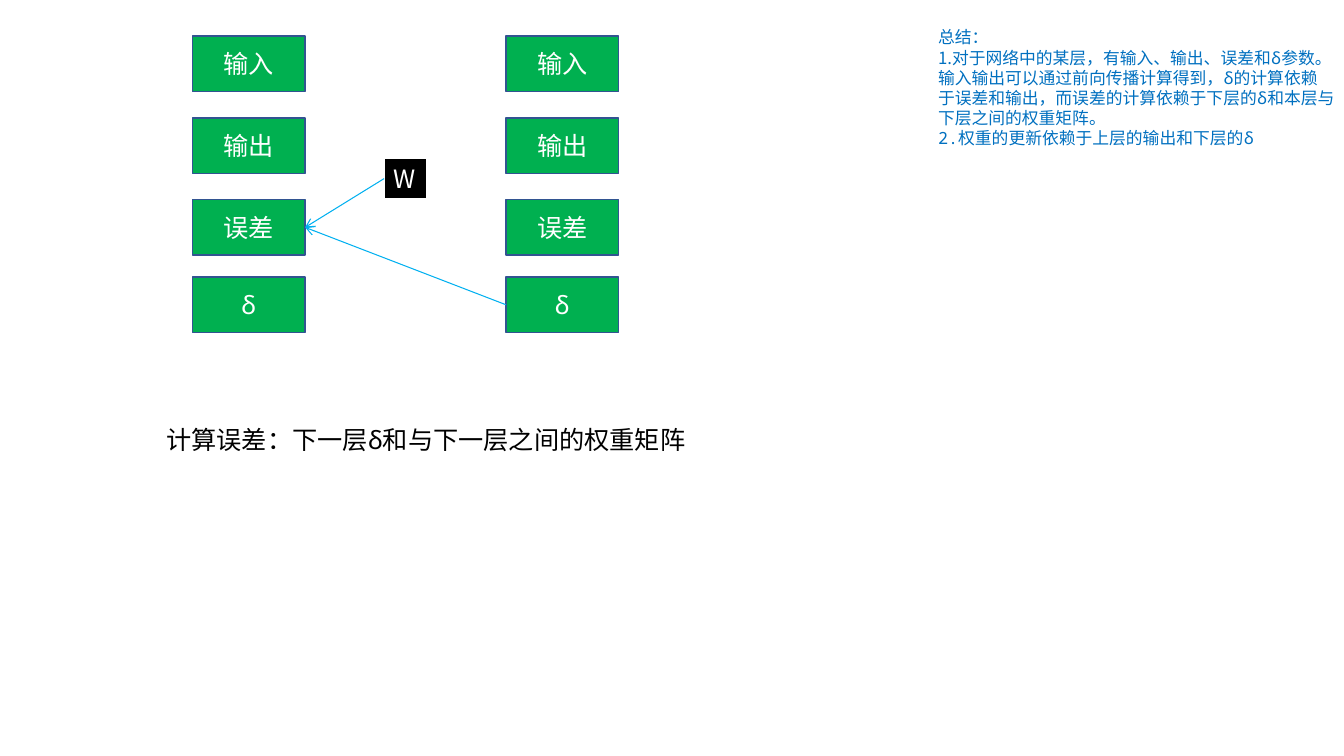
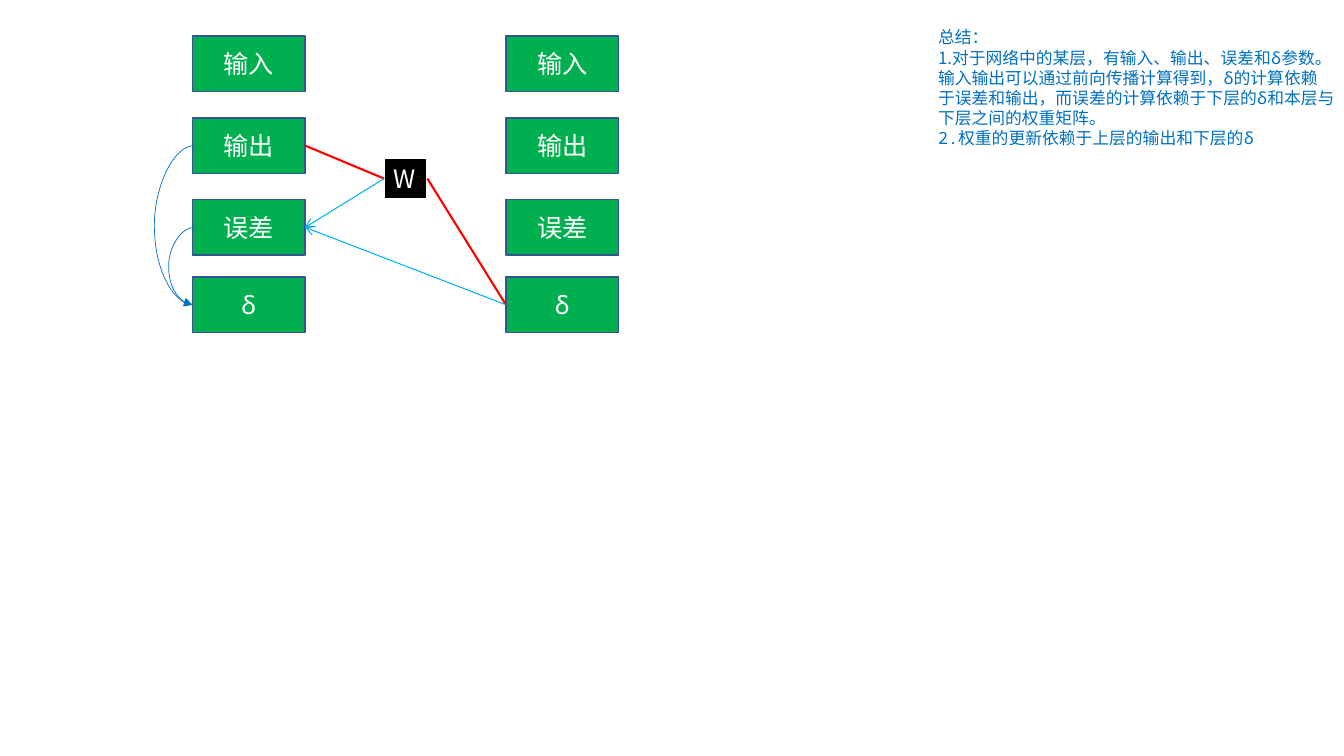
from dataclasses import dataclass
from typing import Optional

from lxml.etree import SubElement
from pptx import Presentation
from pptx.dml.color import RGBColor
from pptx.enum.shapes import MSO_CONNECTOR, MSO_SHAPE
from pptx.enum.text import MSO_ANCHOR, MSO_AUTO_SIZE, PP_ALIGN
from pptx.oxml.ns import qn
from pptx.shapes.autoshape import Shape
from pptx.shapes.connector import Connector
from pptx.slide import Slide
from pptx.text.text import TextFrame
from pptx.util import Cm, Pt

COLORS = {
    "node": "00B050",
    "node_border": "325491",
    "weight": "000000",
    "white": "FFFFFF",
    "caption": "000000",
    "summary": "0070C0",
    "error_flow": "00B0F0",
    "weight_update": "FF0000",
    "delta_flow": "0070C0",
}
SANS = "Noto Sans CJK SC"
MONO = "Noto Sans Mono"
BOTTOM, LEFT, RIGHT = 2, 1, 3

LAYER_LEFTS = (4.85, 12.75)
NODE_WIDTH, NODE_HEIGHT = 2.84, 1.4
CURVE_WIDTH = 0.04


@dataclass(frozen=True)
class TextRun:
    text: str
    font: str = SANS


@dataclass(frozen=True)
class Node:
    label: TextRun
    top: float


@dataclass(frozen=True)
class Box:
    left: float
    top: float
    width: float
    height: float


@dataclass(frozen=True)
class LineStyle:
    color: str
    width: float
    arrowhead: Optional[str] = None


NODES = {
    "input": Node(TextRun("输入"), 0.91),
    "output": Node(TextRun("输出"), 2.97),
    "error": Node(TextRun("误差"), 5.03),
    "delta": Node(TextRun("δ", MONO), 6.98),
}
WEIGHT_BOX = Box(9.68, 3.99, 1.09, 1.02)
SUMMARY_BOX = Box(23.39, 0.56, 10.49, 3.33)
CAPTION_BOX = Box(3.94, 10.57, 13.69, 1.02)

SUMMARY = (
    (TextRun("总结："),),
    (
        TextRun("1.对于网络中的某层，有输入、输出、误差和"),
        TextRun(
            "δ参数。输入输出可以通过前向传播计算得到，δ的计算依赖于误差和输出，"
            "而误差的计算依赖于下层的δ和本层与下层之间的权重矩阵。",
            MONO,
        ),
    ),
    (TextRun("2.权重的更新依赖于上层的输出和下层的δ", MONO),),
)
CAPTION = ((TextRun("计算误差：下一层"), TextRun("δ和与下一层之间的权重矩阵", MONO)),)

ERROR_FLOW = LineStyle("error_flow", 0.75, "arrow")
WEIGHT_UPDATE = LineStyle("weight_update", 1.5)
DELTA_FLOW = LineStyle("delta_flow", 0.5, "triangle")


def rgb(name: str) -> RGBColor:
    return RGBColor.from_string(COLORS[name])


def write_text(
    text_frame: TextFrame,
    paragraphs: tuple[tuple[TextRun, ...], ...],
    size: float,
    color: str,
    alignment: PP_ALIGN = PP_ALIGN.LEFT,
) -> None:
    text_frame.text = "\n".join(runs[0].text for runs in paragraphs)
    for paragraph, runs in zip(text_frame.paragraphs, paragraphs):
        paragraph.alignment = alignment
        for extra in runs[1:]:
            paragraph.add_run().text = extra.text
        for run, content in zip(paragraph.runs, runs):
            run.font.size = Pt(size)
            run.font.color.rgb = rgb(color)
            run.font.name = content.font
            SubElement(run.font._element, qn("a:ea"), typeface=SANS)


def add_text(
    slide: Slide,
    box: Box,
    paragraphs: tuple[tuple[TextRun, ...], ...],
    size: float,
    color: str,
) -> None:
    shape = slide.shapes.add_textbox(
        Cm(box.left), Cm(box.top), Cm(box.width), Cm(box.height)
    )
    shape.text_frame.word_wrap = True
    shape.text_frame.auto_size = MSO_AUTO_SIZE.SHAPE_TO_FIT_TEXT
    write_text(shape.text_frame, paragraphs, size, color)


def add_rectangle(
    slide: Slide, box: Box, fill: str, border: str, border_width: float
) -> Shape:
    shape = slide.shapes.add_shape(
        MSO_SHAPE.RECTANGLE, Cm(box.left), Cm(box.top), Cm(box.width), Cm(box.height)
    )
    shape.shadow.inherit = False
    shape.fill.solid()
    shape.fill.fore_color.rgb = rgb(fill)
    shape.line.color.rgb = rgb(border)
    shape.line.width = Pt(border_width)
    return shape


def add_layer(slide: Slide, left: float) -> dict[str, Shape]:
    layer = {}
    for name, node in NODES.items():
        box = Box(left, node.top, NODE_WIDTH, NODE_HEIGHT)
        shape = add_rectangle(slide, box, "node", "node_border", 1)
        shape.text_frame.vertical_anchor = MSO_ANCHOR.MIDDLE
        write_text(shape.text_frame, ((node.label,),), 18, "white", PP_ALIGN.CENTER)
        layer[name] = shape
    return layer


def add_weight(slide: Slide) -> Shape:
    shape = add_rectangle(slide, WEIGHT_BOX, "weight", "white", 1.5)
    shape.text_frame.word_wrap = False
    shape.text_frame.auto_size = MSO_AUTO_SIZE.SHAPE_TO_FIT_TEXT
    shape.text_frame.vertical_anchor = MSO_ANCHOR.TOP
    write_text(shape.text_frame, ((TextRun("W"),),), 18, "white")
    return shape


def style_connector(connector: Connector, style: LineStyle) -> None:
    connector.line.color.rgb = rgb(style.color)
    connector.line.width = Pt(style.width)
    properties = connector._element.spPr
    if style.arrowhead:
        SubElement(properties.find(qn("a:ln")), qn("a:tailEnd"), type=style.arrowhead)
    SubElement(properties, qn("a:effectLst"))


def connect(
    slide: Slide,
    start: Shape,
    start_side: int,
    end: Shape,
    end_side: int,
    style: LineStyle,
) -> None:
    connector = slide.shapes.add_connector(MSO_CONNECTOR.STRAIGHT, 0, 0, 0, 0)
    connector.begin_connect(start, start_side)
    connector.end_connect(end, end_side)
    style_connector(connector, style)


def add_side_curve(slide: Slide, start: Shape, end: Shape, bulge: float) -> None:
    connector = slide.shapes.add_connector(
        MSO_CONNECTOR.CURVE,
        start.left,
        start.top + start.height // 2,
        start.left + Cm(CURVE_WIDTH),
        end.top + end.height // 2,
    )
    properties = connector._element.spPr
    transform = properties.find(qn("a:xfrm"))
    transform.set("rot", "10800000")
    transform.set("flipV", "1")
    adjustments = properties.find(qn("a:prstGeom")).find(qn("a:avLst"))
    ratio = round(bulge / CURVE_WIDTH * 100000)
    SubElement(adjustments, qn("a:gd"), name="adj1", fmla=f"val {ratio}")
    style_connector(connector, DELTA_FLOW)


def add_network_slide(presentation: Presentation, with_update: bool) -> Slide:
    slide = presentation.slides.add_slide(presentation.slide_layouts[6])
    add_text(slide, SUMMARY_BOX, SUMMARY, 12, "summary")
    current, following = (add_layer(slide, left) for left in LAYER_LEFTS)
    weight = add_weight(slide)
    if with_update:
        connect(slide, current["output"], RIGHT, weight, LEFT, WEIGHT_UPDATE)
        connect(slide, weight, RIGHT, following["delta"], LEFT, WEIGHT_UPDATE)
    for source in (following["delta"], weight):
        connect(slide, source, LEFT, current["error"], RIGHT, ERROR_FLOW)
    if with_update:
        for name, bulge in (("output", 1.0), ("error", 0.64)):
            add_side_curve(slide, current[name], current["delta"], bulge)
    return slide


def main() -> None:
    presentation = Presentation()
    presentation.slide_width = Cm(33.87)
    presentation.slide_height = Cm(19.05)
    error_slide = add_network_slide(presentation, with_update=False)
    add_text(error_slide, CAPTION_BOX, CAPTION, 18, "caption")
    add_network_slide(presentation, with_update=True)
    presentation.save("out.pptx")


if __name__ == "__main__":
    main()
